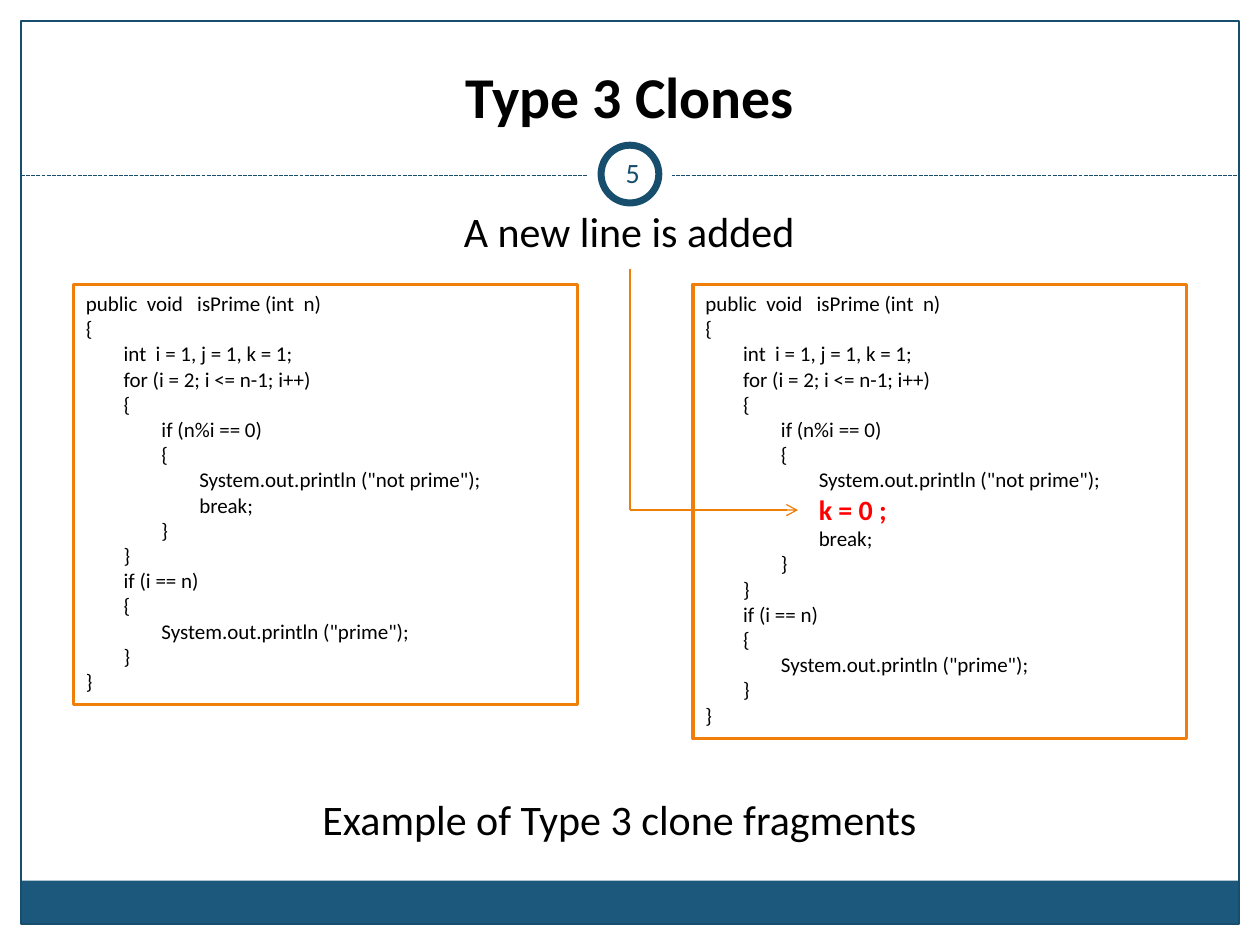
import dataclasses

import lxml.etree
import pptx
import pptx.dml.color
import pptx.enum.dml
import pptx.enum.shapes
import pptx.enum.text
import pptx.oxml.ns
import pptx.util

Pt = pptx.util.Pt
Shape = pptx.enum.shapes.MSO_SHAPE
Align = pptx.enum.text.PP_ALIGN
Anchor = pptx.enum.text.MSO_ANCHOR


@dataclasses.dataclass(frozen=True)
class Theme:
    font: str = "Calibri"
    ink: str = "000000"
    paper: str = "FFFFFF"
    band: str = "1B587C"
    rule: str = "184E6D"
    accent: str = "F07F09"
    alert: str = "FF0000"
    title: float = 33
    label: float = 24
    page: float = 16
    code: float = 12
    step: float = 21.6


THEME = Theme()
ADDED = "k = 0 ;"
CODE = [
    "public  void   isPrime (int  n)",
    "{",
    "int  i = 1, j = 1, k = 1;",
    "for (i = 2; i <= n-1; i++)",
    "{",
    "if (n%i == 0)",
    "{",
    'System.out.println ("not prime");',
    "break;",
    "}",
    "}",
    "if (i == n)",
    "{",
    'System.out.println ("prime");',
    "}",
    "}",
]


def tint(code):
    return pptx.dml.color.RGBColor.from_string(code)


def add_tag(parent, tag, **attrs):
    return lxml.etree.SubElement(parent, pptx.oxml.ns.qn(tag), attrs)


def add_run(para, text, size, color=THEME.ink, bold=False):
    run = para.add_run()
    run.text = text
    font = run.font
    font.name, font.size, font.bold = THEME.font, Pt(size), bold
    font.color.rgb = tint(color)


def add_form(slide, kind, box, fill=None, line=None, width=0.75):
    form = slide.shapes.add_shape(kind, *map(Pt, box))
    form.shadow.inherit = False
    if fill:
        form.fill.solid()
        form.fill.fore_color.rgb = tint(fill)
    else:
        form.fill.background()
    if line:
        form.line.color.rgb = tint(line)
        form.line.width = Pt(width)
    else:
        form.line.fill.background()


def add_line(slide, start, end, color, dash=None, arrow=False):
    kind = pptx.enum.shapes.MSO_CONNECTOR.STRAIGHT
    wire = slide.shapes.add_connector(kind, *map(Pt, start + end))
    wire.line.color.rgb = tint(color)
    wire.line.width = Pt(0.75)
    if dash:
        wire.line.dash_style = dash
    props = wire._element.spPr
    if arrow:
        add_tag(props.find(pptx.oxml.ns.qn("a:ln")), "a:tailEnd", type="arrow")
    add_tag(props, "a:effectLst")


def add_label(slide, box, text, size, color=THEME.ink, inset=None):
    frame = slide.shapes.add_textbox(*map(Pt, box)).text_frame
    frame.word_wrap = True
    if inset is not None:
        frame.margin_left = frame.margin_right = Pt(inset)
        frame.margin_top = frame.margin_bottom = Pt(inset)
        frame.vertical_anchor = Anchor.MIDDLE
    para = frame.paragraphs[0]
    para.alignment = Align.CENTER
    add_run(para, text, size, color)


def add_code(slide, box, lines):
    panel = slide.shapes.add_textbox(*map(Pt, box))
    panel.line.color.rgb = tint(THEME.accent)
    panel.line.width = Pt(2)
    frame = panel.text_frame
    frame.word_wrap = True
    depth = 0
    for i, text in enumerate(lines):
        para = frame.add_paragraph() if i else frame.paragraphs[0]
        depth -= text == "}"
        para._p.get_or_add_pPr().set("marL", str(Pt(depth * THEME.step)))
        depth += text == "{"
        if text == ADDED:
            add_run(para, text, THEME.page, THEME.alert, True)
        else:
            add_run(para, text, THEME.code)


def add_title(slide, box, text):
    title = slide.shapes.title
    title.left, title.top, title.width, title.height = map(Pt, box)
    frame = title.text_frame
    frame.auto_size = pptx.enum.text.MSO_AUTO_SIZE.NONE
    frame.vertical_anchor = Anchor.BOTTOM
    para = frame.paragraphs[0]
    para.alignment = Align.CENTER
    add_run(para, text, THEME.title, bold=True)


def add_frame(slide):
    add_form(slide, Shape.RECTANGLE, (11.5, 503.3, 696, 24.5), THEME.band)
    add_form(slide, Shape.RECTANGLE, (12, 12, 696, 516), line=THEME.rule)
    dash = pptx.enum.dml.MSO_LINE.SQUARE_DOT
    add_line(slide, (12, 100.5), (708, 100.5), THEME.rule, dash)
    add_form(slide, Shape.OVAL, (336, 75.5, 48, 48), THEME.paper)
    add_form(slide, Shape.OVAL, (343.5, 83, 33, 33), THEME.paper, THEME.rule, 4)


def main():
    deck = pptx.Presentation()
    deck.slide_width, deck.slide_height = Pt(720), Pt(540)
    slide = deck.slides.add_slide(deck.slide_layouts[5])
    add_frame(slide)
    add_title(slide, (24, 18, 672, 60), "Type 3 Clones")
    add_label(slide, (343.5, 81, 36, 34.5), "5", THEME.page, THEME.rule, 3.6)

    spot = CODE.index("break;")
    add_code(slide, (42, 162.5, 288, 240), CODE)
    add_code(slide, (396, 162.5, 282, 259.5), CODE[:spot] + [ADDED] + CODE[spot:])

    add_label(slide, (252, 114, 215, 36), "A new line is added", THEME.label)
    bend = (360, 291.5)
    add_line(slide, (360, 153.5), bend, THEME.accent)
    add_line(slide, bend, (456, 291.5), THEME.accent, arrow=True)
    add_label(slide, (78, 450, 552, 36), "Example of Type 3 clone fragments", THEME.label)
    deck.save("out.pptx")


if __name__ == "__main__":
    main()
